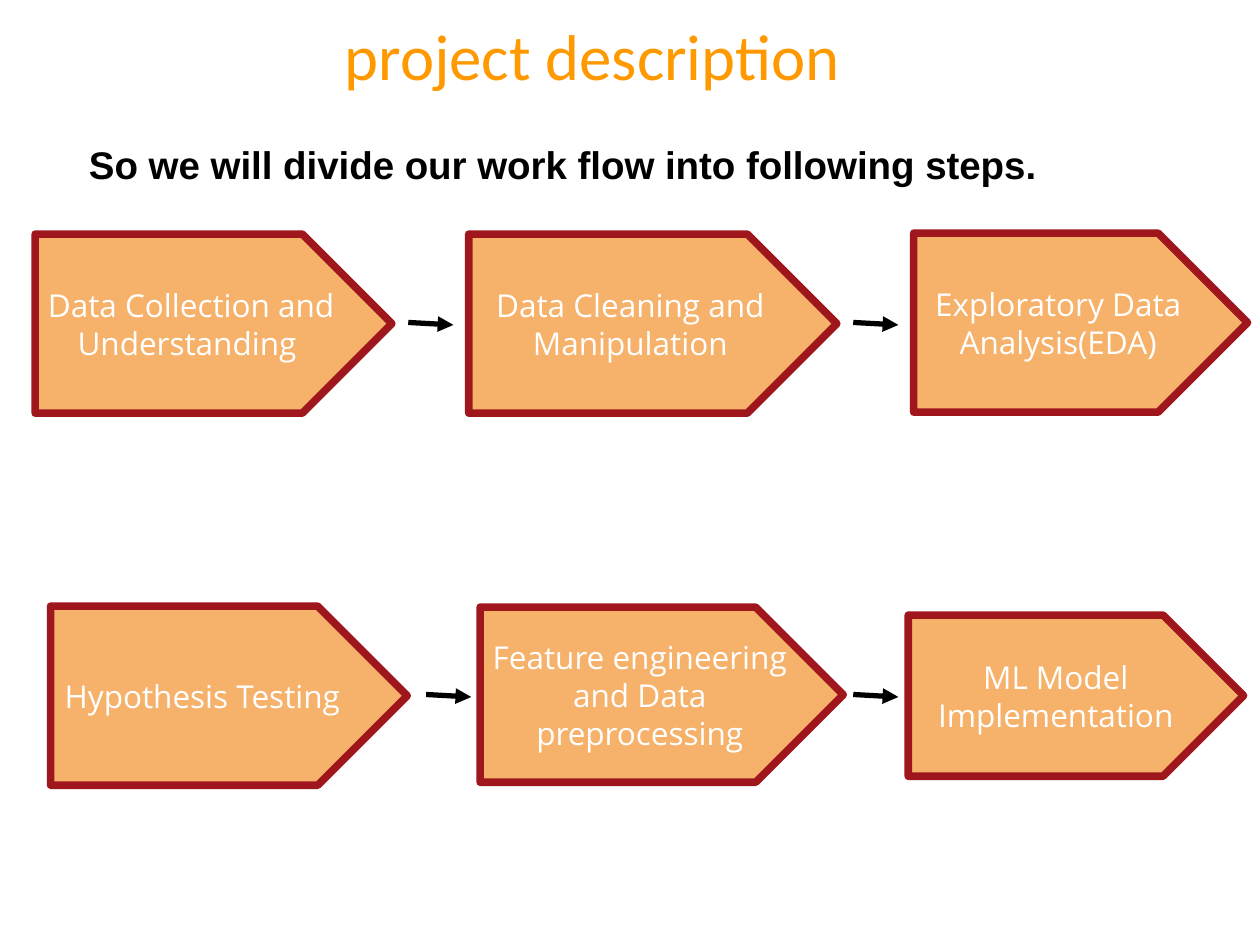
"""Build the project description slide with its six workflow steps."""
from lxml.etree import SubElement
from pptx import Presentation
from pptx.dml.color import RGBColor
from pptx.enum.shapes import MSO_CONNECTOR as Link, MSO_SHAPE as Form
from pptx.enum.text import MSO_ANCHOR as Anchor, PP_ALIGN as Align
from pptx.oxml.ns import qn
from pptx.util import Cm, Pt

TITLE = {"name": "Calibri", "size": Pt(37), "bold": False}
LEAD = {"name": "Arial", "size": Pt(22), "bold": True}
STEP = {"name": "Open Sans", "size": Pt(18), "bold": False}
FRAME = {"word_wrap": True, "margin_left": Cm(0.25), "margin_right": Cm(0.25),
         "margin_top": Cm(0.13), "margin_bottom": Cm(0.13)}
STEPS = [
    ("Data Collection and Understanding ", 0.71, 4.72, 7.19, 3.61),
    ("Data Cleaning and Manipulation", 9.45, 4.72, 7.42, 3.61),
    ("Exploratory Data Analysis(EDA)", 18.42, 4.7, 6.73, 3.61),
    ("Hypothesis Testing ", 1.02, 12.22, 7.19, 3.61),
    ("Feature engineering and Data preprocessing", 9.68, 12.24, 7.32, 3.53),
    ("ML Model Implementation", 18.31, 12.4, 6.76, 3.25),
]
ARROWS = [(8.23, 6.5), (17.2, 6.5), (8.59, 14), (17.2, 14)]


def color(code):
    return RGBColor.from_string(code)


def style(item, values):
    for key, value in values.items():
        setattr(item, key, value)


class Deck:
    def __init__(self, slide):
        self.slide = slide
        self.fill, self.edge, self.ink = "F6B26B", "9F161D", "000000"
        self.head, self.light = "FF9900", "FFFFFF"

    def label(self, shape, text, font, code, **extra):
        frame = shape.text_frame
        style(frame, {**FRAME, **extra})
        para = frame.paragraphs[0]
        para.alignment = Align.CENTER
        run = para.add_run()
        run.text = text
        style(run.font, font)
        run.font.color.rgb = color(code)

    def title(self, text, *box):
        shape = self.slide.shapes.title
        style(shape, dict(zip(("left", "top", "width", "height"), map(Cm, box))))
        self.label(shape, text, TITLE, self.head, vertical_anchor=Anchor.MIDDLE)

    def lead(self, text, *box):
        shape = self.slide.shapes.add_textbox(*map(Cm, box))
        self.label(shape, text, LEAD, self.ink, margin_left=Cm(0.56))

    def step(self, text, *box):
        shape = self.slide.shapes.add_shape(Form.PENTAGON, *map(Cm, box))
        shape.shadow.inherit = False
        shape.fill.solid()
        shape.fill.fore_color.rgb = color(self.fill)
        shape.line.color.rgb = color(self.edge)
        shape.line.width = Pt(4.33)
        SubElement(shape.line._get_or_add_ln(), qn("a:round"))
        self.label(shape, text, STEP, self.light, vertical_anchor=Anchor.MIDDLE)

    def arrow(self, x, y):
        ends = map(Cm, (x, y, x + 0.91, y + 0.05))
        link = self.slide.shapes.add_connector(Link.STRAIGHT, *ends)
        link.line.color.rgb = color(self.ink)
        link.line.width = Pt(3)
        SubElement(link.line._get_or_add_ln(), qn("a:tailEnd"), type="triangle")
        SubElement(link._element.spPr, qn("a:effectLst"))


def main():
    show = Presentation()
    style(show, {"slide_width": Cm(25.4), "slide_height": Cm(19.05)})
    deck = Deck(show.slides.add_slide(show.slide_layouts[5]))
    deck.title("project description", 0.51, 0.08, 22.86, 2.06)
    deck.lead("So we will divide our work flow into following steps.",
              0.3, 2.72, 21.79, 1.02)
    for step in STEPS:
        deck.step(*step)
    for start in ARROWS:
        deck.arrow(*start)
    show.save("out.pptx")


if __name__ == "__main__":
    main()
